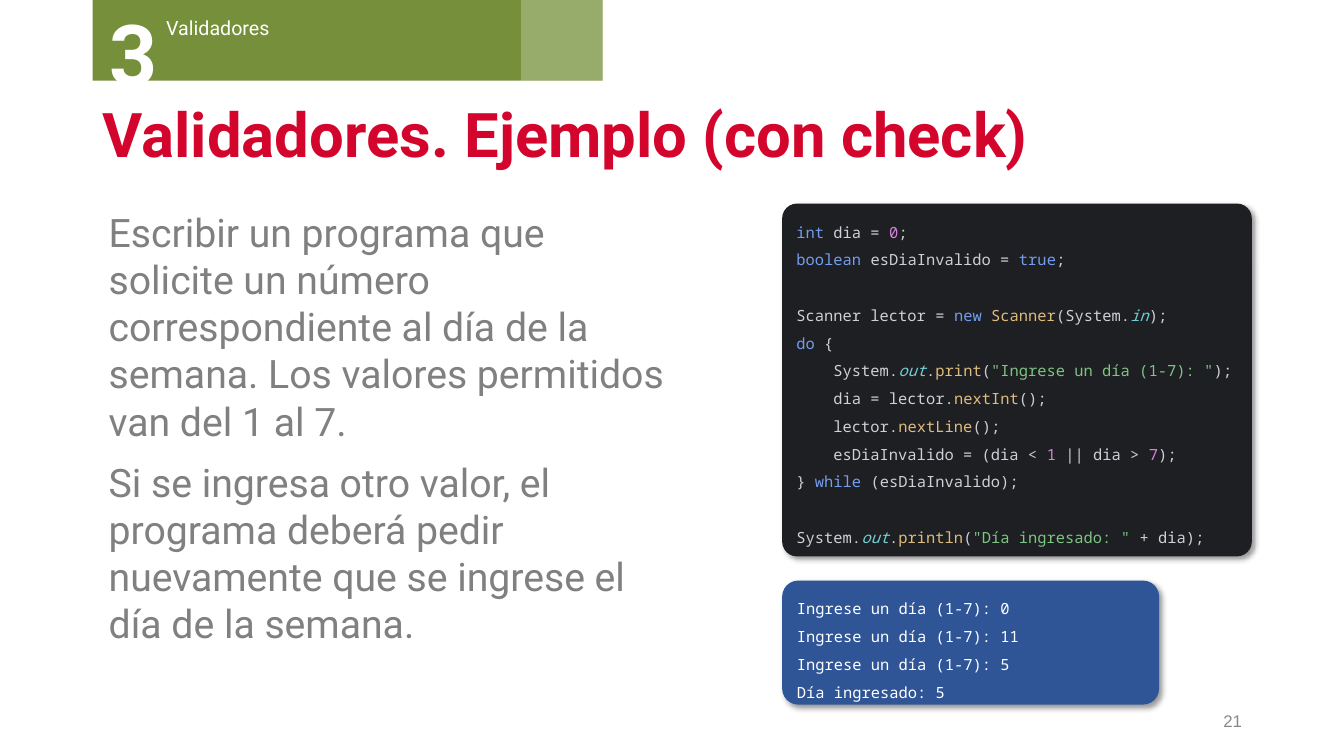
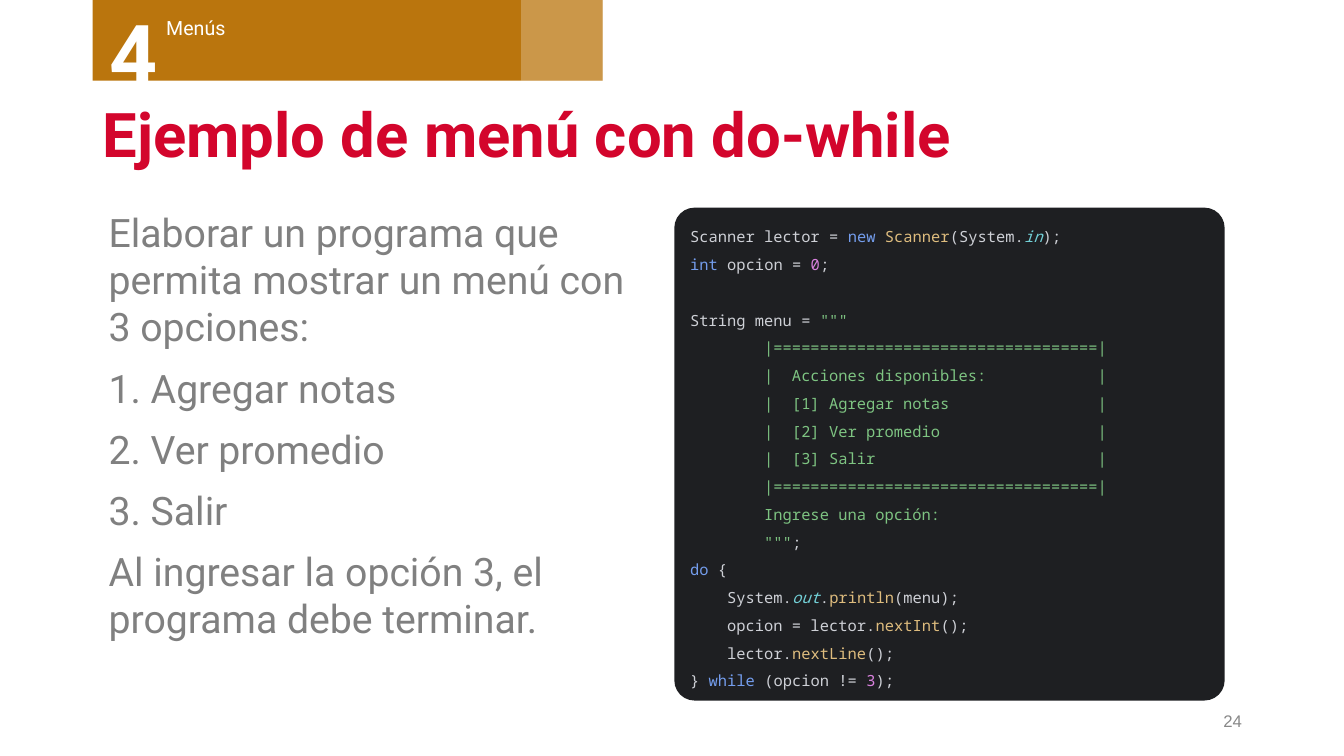
from dataclasses import dataclass

from lxml.etree import SubElement
from pptx import Presentation
from pptx.dml.color import RGBColor
from pptx.enum.shapes import MSO_SHAPE as Shape
from pptx.enum.text import MSO_ANCHOR as Anchor, MSO_AUTO_SIZE as AutoSize, PP_ALIGN as Align
from pptx.oxml.ns import qn
from pptx.util import Pt


@dataclass(frozen=True)
class Theme:
    # Colours
    title: str = "D3052C"
    body: str = "808080"
    page: str = "888888"
    white: str = "FFFFFF"
    code_panel: str = "1E1F22"
    console: str = "2F5597"
    plain: str = "CED0D6"
    validators: str = "758F3A"
    menus: str = "BA750D"
    # Fonts and sizes
    font: str = "Roboto"
    page_font: str = "Arial"
    mono: str = "Noto Sans Mono"
    title_size: int = 44
    body_size: int = 28
    digit_size: int = 60
    label_size: int = 14
    page_size: int = 12
    code_size: int = 11
    # Left margin of the content and the top of the body
    left: float = 66.24
    top: float = 145.44


THEME = Theme()

# Code markup: ~key:text~ gives the text the colour of its key
SYNTAX = {
    "k": "749DED",  # keyword
    "n": "D981DE",  # number
    "m": "DEBC7E",  # method
    "f": "72CFD6",  # static field, in italics
    "s": "7EC482",  # string
}

CHECK_CODE = '''~k:int~ dia = ~n:0~;
~k:boolean~ esDiaInvalido = ~k:true~;

Scanner lector = ~k:new~ ~m:Scanner~(System.~f:in~);
~k:do~ {
    System.~f:out~.~m:print~(~s:"Ingrese un día (1-7): "~);
    dia = lector.~m:nextInt~();
    lector.~m:nextLine~();
    esDiaInvalido = (dia < ~n:1~ || dia > ~n:7~);
} ~k:while~ (esDiaInvalido);

System.~f:out~.~m:println~(~s:"Día ingresado: "~ + dia);'''

MENU_CODE = '''Scanner lector = ~k:new~ ~m:Scanner~(System.~f:in~);
~k:int~ opcion = ~n:0~;

String menu = ~s:"""
        |===================================|
        |  Acciones disponibles:            |
        |  [1] Agregar notas                |
        |  [2] Ver promedio                 |
        |  [3] Salir                        |
        |===================================|
        Ingrese una opción:
        """~;
~k:do~ {
    System.~f:out~.~m:println~(menu);
    opcion = lector.~m:nextInt~();
    lector.~m:nextLine~();
} ~k:while~ (opcion != ~n:3~);'''


def rgb(color):
    return RGBColor.from_string(color)


def style(paragraph, size, color, name=THEME.font, bold=False):
    font = paragraph.font
    font.size, font.name, font.bold = Pt(size), name, bold
    font.color.rgb = rgb(color)


def add_text(shapes, box, lines, size, color, name=THEME.font, bold=False, anchor=Anchor.TOP):
    frame = shapes.add_textbox(*map(Pt, box)).text_frame
    frame.word_wrap = True
    frame.vertical_anchor = anchor
    frame.text = "\n".join(lines)
    for paragraph in frame.paragraphs:
        style(paragraph, size, color, name, bold)
    return frame


def add_block(shapes, kind, box, color, alpha=None):
    block = shapes.add_shape(kind, *map(Pt, box))
    block.shadow.inherit = False
    block.fill.solid()
    block.fill.fore_color.rgb = rgb(color)
    block.line.fill.background()
    if alpha is not None:
        tone = block.fill._xPr.find(qn("a:solidFill"))[0]
        SubElement(tone, qn("a:alpha"), val=str(alpha * 1000))
    return block


def add_shadow(block):
    effects = block._element.spPr.find(qn("a:effectLst"))
    shadow = SubElement(effects, qn("a:outerShdw"), blurRad=str(Pt(4)), dist=str(Pt(3)),
                        dir=str(45 * 60000), algn="tl", rotWithShape="0")
    black = SubElement(shadow, qn("a:srgbClr"), val="000000")
    SubElement(black, qn("a:alpha"), val="40000")


def add_panel(slide, box, color, rounding, shadow, anchor, wrap=True):
    """Rounded panel for monospaced text."""
    panel = add_block(slide.shapes, Shape.ROUNDED_RECTANGLE, box, color)
    panel.adjustments[0] = rounding
    if shadow:
        add_shadow(panel)
    frame = panel.text_frame
    frame.word_wrap = wrap
    frame.auto_size = AutoSize.SHAPE_TO_FIT_TEXT
    frame.vertical_anchor = anchor
    return frame


def style_mono(paragraph, color):
    style(paragraph, THEME.code_size, color, THEME.mono)
    paragraph.alignment = Align.LEFT
    paragraph.line_spacing = 1.5


def break_line(paragraph):
    """Line break that keeps the height of a code line."""
    paragraph.add_line_break()
    props = SubElement(paragraph._p[-1], qn("a:rPr"), sz=str(THEME.code_size * 100))
    SubElement(props, qn("a:latin"), typeface=THEME.mono)


def add_code(slide, box, code, rounding, shadow=False, wrap=True):
    frame = add_panel(slide, box, THEME.code_panel, rounding, shadow, Anchor.MIDDLE, wrap)
    listing = frame.paragraphs[0]
    style_mono(listing, THEME.plain)
    for index, part in enumerate(code.split("~")):
        key, text = "", part
        if index % 2:
            key, _, text = part.partition(":")
        for number, line in enumerate(text.split("\n")):
            if number:
                break_line(listing)
            if line:
                token = listing.add_run()
                token.text = line
                if key:
                    token.font.color.rgb = rgb(SYNTAX[key])
                    token.font.italic = key == "f"


def add_console(slide, box, lines):
    frame = add_panel(slide, box, THEME.console, 0.13, True, Anchor.TOP)
    frame.text = "\n".join(lines)
    for paragraph in frame.paragraphs:
        style_mono(paragraph, THEME.white)


def add_section_band(slide, digit, label, color):
    band = slide.shapes.add_group_shape().shapes
    width, height, tint = 364.3, 57.6, 58.3
    add_block(band, Shape.RECTANGLE, (THEME.left, 0, width, height), color)
    add_text(band, (111.6, 7.9, 198, 24.5), [label], THEME.label_size, THEME.white)
    add_text(band, (71.3, -2.2, 80.6, 79.9), [digit], THEME.digit_size, THEME.white, bold=True)
    add_block(band, Shape.RECTANGLE, (THEME.left + width - tint, 0, tint, height),
              THEME.white, alpha=25)


def add_body(slide, width, lines):
    frame = add_text(slide.shapes, (THEME.left, THEME.top, width, 344.2), lines,
                     THEME.body_size, THEME.body)
    for paragraph in frame.paragraphs:
        paragraph.space_before = Pt(10)
        paragraph._p.get_or_add_pPr().set("marL", str(Pt(4.3)))


def add_lesson(deck, title, page, section):
    """Slide with the shared title, page number and section band."""
    slide = deck.slides.add_slide(deck.slide_layouts[6])
    heading = add_text(slide.shapes, (THEME.left, 67, 828, 62), [title], THEME.title_size,
                       THEME.title, bold=True, anchor=Anchor.MIDDLE)
    heading.paragraphs[0].line_spacing = 0.9
    footer = add_text(slide.shapes, (678.24, 500.4, 216, 28.8), [page], THEME.page_size,
                      THEME.page, THEME.page_font, anchor=Anchor.MIDDLE)
    footer.paragraphs[0].alignment = Align.RIGHT
    add_section_band(slide, *section)
    return slide


def main():
    deck = Presentation()
    deck.slide_width, deck.slide_height = Pt(960), Pt(540)

    # Validators: check with a flag
    check = add_lesson(deck, "Validadores. Ejemplo (con check)", "21",
                       ("3", "Validadores", THEME.validators))
    add_body(check, 425.5, [
        "Escribir un programa que solicite un número correspondiente al día de la semana. "
        "Los valores permitidos van del 1 al 7.",
        "Si se ingresa otro valor, el programa deberá pedir nuevamente que se ingrese "
        "el día de la semana.",
    ])
    add_code(check, (558.7, THEME.top, 335.5, 252), CHECK_CODE, 0.042, shadow=True, wrap=False)
    prompt = "Ingrese un día (1-7): "
    add_console(check, (558.7, 414.7, 269.3, 88.6),
                [prompt + answer for answer in ("0", "11", "5")] + ["Día ingresado: 5"])

    # Menus: do-while loop
    menu = add_lesson(deck, "Ejemplo de menú con do-while", "24", ("4", "Menús", THEME.menus))
    add_body(menu, 406.8, [
        "Elaborar un programa que permita mostrar un menú con 3 opciones:",
        "1. Agregar notas",
        "2. Ver promedio",
        "3. Salir",
        "Al ingresar la opción 3, el programa debe terminar.",
    ])
    add_code(menu, (481.7, 148.3, 393.1, 352.1), MENU_CODE, 0.041)

    deck.save("out.pptx")


if __name__ == "__main__":
    main()
